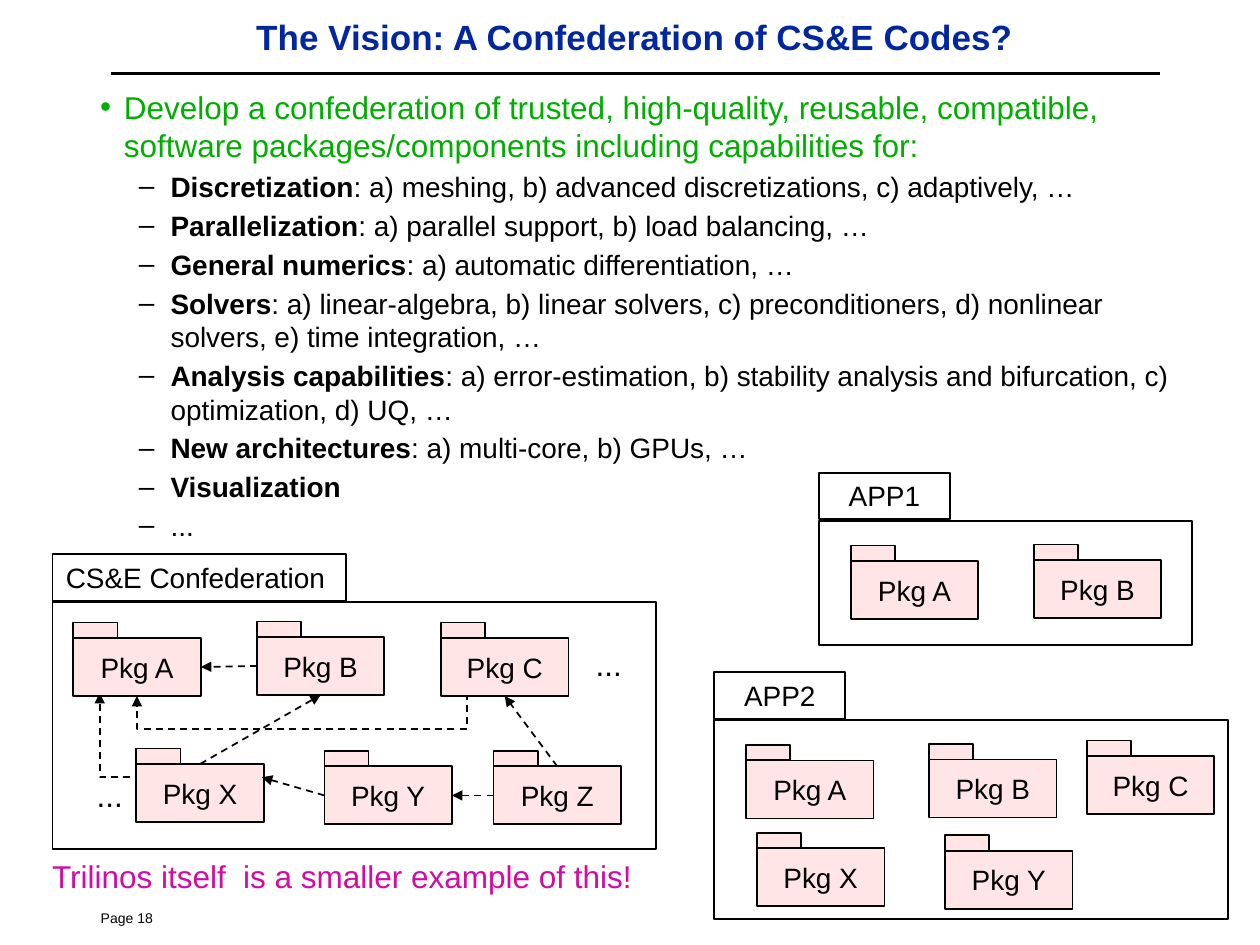
"""Build the slide about a confederation of CS&E codes."""
from lxml import etree
from pptx import Presentation, util as u
from pptx.dml import color
from pptx.enum import dml, shapes, text
from pptx.oxml import ns

COLORS = {"black": "000000", "white": "FFFFFF", "title": "00279F",
          "lead": "00AE00", "package": "FFE5E5", "note": "D30AA5"}
TITLE = " The Vision: A Confederation of CS&E Codes?"
LEAD = ("Develop a confederation of trusted, high-quality, reusable, compatible, "
        "software packages/components including capabilities for:")
CAPABILITIES = [
    ("Discretization", ": a) meshing, b) advanced discretizations, c) adaptively, …"),
    ("Parallelization", ": a) parallel support, b) load balancing, …"),
    ("General numerics", ": a) automatic differentiation, …"),
    ("Solvers", ": a) linear-algebra, b) linear solvers, c) preconditioners, "
                "d) nonlinear solvers, e) time integration, …"),
    ("Analysis capabilities", ": a) error-estimation, b) stability analysis and "
                              "bifurcation, c) optimization, d) UQ, …"),
    ("New architectures", ": a) multi-core, b) GPUs, …"),
    ("Visualization", ""),
    ("", "..."),
]
FRAMES = [
    {"label": "CS&E Confederation ", "label_width": 5.92, "fill": None,
     "area": (1.06, 12.14, 12.17, 4.98),
     "packages": {"A": (1.48, 12.86), "B": (5.18, 12.84), "C": (8.89, 12.86),
                  "X": (2.75, 15.4), "Y": (6.54, 15.45), "Z": (9.95, 15.45)}},
    {"label": "APP1", "label_width": 2.64, "fill": None,
     "area": (16.51, 10.5, 7.52, 2.51),
     "packages": {"A": (17.15, 11.31), "B": (20.84, 11.29)}},
    {"label": "APP2", "label_width": 2.64, "fill": "white",
     "area": (14.4, 14.52, 10.36, 4.01),
     "packages": {"A": (15.04, 15.33), "B": (18.73, 15.31), "C": (21.91, 15.24),
                  "X": (15.26, 17.1), "Y": (19.05, 17.15)}},
]
TOP, LEFT, BOTTOM, RIGHT = range(4)
DEPENDENCIES = [("B", LEFT, "A", RIGHT), ("X", TOP, "B", BOTTOM),
                ("Z", TOP, "C", BOTTOM), ("Z", LEFT, "Y", RIGHT)]
Y_TO_X_END = (5.28, 15.67)
ELLIPSES = [(11.76, 12.88), (1.7, 15.52)]
PACKAGE_WIDTH, PACKAGE_HEIGHT = 2.57, 1.17
TAB_WIDTH, TAB_HEIGHT = 0.89, 0.31
LABEL_HEIGHT, LABEL_GAP = 0.94, 0.03


def rgb(name):
    return color.RGBColor.from_string(COLORS[name])


def write(shape, content, size=16, ink="black", bold=False, align="LEFT",
          anchor="TOP", wrap=True, after=0, bullet=None, margin=0, hang=0):
    frame = shape.text_frame
    frame.word_wrap = wrap
    frame.vertical_anchor = text.MSO_ANCHOR[anchor]
    para = frame.paragraphs[0] if not frame.text else frame.add_paragraph()
    para.alignment = text.PP_ALIGN[align]
    para.space_after = u.Pt(after)
    props = para._p.get_or_add_pPr()
    props.set("marL", str(u.Cm(margin)))
    props.set("indent", str(u.Cm(-hang)))
    if bullet:
        tint = etree.SubElement(props, ns.qn("a:buClr"))
        etree.SubElement(tint, ns.qn("a:srgbClr"), val=COLORS[ink])
        etree.SubElement(props, ns.qn("a:buFont"), typeface="Arial")
        etree.SubElement(props, ns.qn("a:buChar"), char=bullet)
    parts = [(content, bold)] if isinstance(content, str) else content
    for words, strong in parts:
        if words:
            span = para.add_run()
            span.text = words
            span.font.name = "Arial"
            span.font.size = u.Pt(size)
            span.font.bold = strong
            span.font.color.rgb = rgb(ink)


def add_text(page, area, content, **style):
    box = page.shapes.add_textbox(*map(u.Cm, area))
    write(box, content, **style)
    return box


def add_box(page, area, fill=None):
    box = page.shapes.add_shape(shapes.MSO_SHAPE.RECTANGLE, *map(u.Cm, area))
    box.shadow.inherit = False
    if fill:
        box.fill.solid()
        box.fill.fore_color.rgb = rgb(fill)
    else:
        box.fill.background()
    box.line.color.rgb = rgb("black")
    box.line.width = u.Pt(1)
    return box


def add_line(page, start, end, kind="STRAIGHT", weight=1, arrow=True):
    line = page.shapes.add_connector(shapes.MSO_CONNECTOR[kind], *map(u.Cm, start + end))
    line.line.color.rgb = rgb("black")
    line.line.width = u.Pt(weight)
    if arrow:
        line.line.dash_style = dml.MSO_LINE.DASH
        etree.SubElement(line.line._get_or_add_ln(), ns.qn("a:tailEnd"), type="triangle")
    etree.SubElement(line._element.spPr, ns.qn("a:effectLst"))
    return line


def add_elbow(page, start, end, preset, degrees, bend=None):
    line = add_line(page, start, end, "ELBOW")
    props = line._element.spPr
    props.find(ns.qn("a:xfrm")).set("rot", str(degrees * 60000))
    shape = props.find(ns.qn("a:prstGeom"))
    shape.set("prst", preset)
    if bend:
        guides = shape.find(ns.qn("a:avLst"))
        etree.SubElement(guides, ns.qn("a:gd"), name="adj1", fmla=f"val {round(bend * 100000)}")


def add_package(page, name, left, top):
    body = add_box(page, (left, top, PACKAGE_WIDTH, PACKAGE_HEIGHT), "package")
    write(body, f"Pkg {name}", align="CENTER", anchor="MIDDLE", wrap=False)
    add_box(page, (left, top - TAB_HEIGHT, TAB_WIDTH, TAB_HEIGHT), "package")
    return body


def add_frame(page, frame):
    left, top, _, _ = frame["area"]
    add_box(page, frame["area"], frame["fill"])
    label = add_box(page, (left, top - LABEL_HEIGHT - LABEL_GAP,
                           frame["label_width"], LABEL_HEIGHT))
    write(label, frame["label"], align="CENTER")
    return {name: add_package(page, name, *place)
            for name, place in frame["packages"].items()}


def add_elbows(page):
    start_x, start_y, end_x, end_y, bend_y = 9.42, 13.97, 2.76, 14.03, 14.69
    middle_x, middle_y = (start_x + end_x) / 2, (start_y + end_y) / 2
    drop, reach = end_y - start_y, start_x - end_x
    add_elbow(page, (middle_x - drop / 2, middle_y - reach / 2),
              (middle_x + drop / 2, middle_y + reach / 2),
              "bentConnector3", 90, (bend_y - start_y) / drop)
    add_elbow(page, (2.01, 13.97), (2.87, 15.67), "bentConnector2", 180)


def main():
    deck = Presentation()
    deck.slide_width, deck.slide_height = u.Cm(25.4), u.Cm(19.05)
    page = deck.slides.add_slide(deck.slide_layouts[6])

    add_line(page, (2.24, 1.48), (23.39, 1.48), weight=2, arrow=False)
    add_text(page, (1.9, 0.2, 21.59, 1.07), TITLE, size=20, ink="title", bold=True,
             align="CENTER", anchor="MIDDLE")
    body = add_text(page, (1.28, 1.65, 22.81, 9.4), LEAD, size=18, ink="lead", after=3.4,
                    bullet="•", margin=0.97, hang=0.48)
    for name, detail in CAPABILITIES:
        write(body, [(name, True), (detail, False)], after=3,
              bullet="–", margin=1.91, hang=0.64)

    add_elbows(page)
    confederation, *_ = [add_frame(page, frame) for frame in FRAMES]
    for source, source_side, target, target_side in DEPENDENCIES:
        arrow = add_line(page, (0, 0), (1, 1))
        arrow.begin_connect(confederation[source], source_side)
        arrow.end_connect(confederation[target], target_side)
    arrow = add_line(page, (6.54, 16.04), Y_TO_X_END)
    arrow.begin_connect(confederation["Y"], LEFT)

    for left, top in ELLIPSES:
        add_text(page, (left, top, 1.04, 1.02), "...", size=18, wrap=False)
    add_text(page, (0.32, 17.15, 12.7, 1.02), "Trilinos itself  is a smaller example of this!",
             size=18, ink="note", margin=0.48)
    add_text(page, (1.78, 18.22, 5.28, 0.56), "Page 18", size=8)
    deck.save("out.pptx")


if __name__ == "__main__":
    main()
